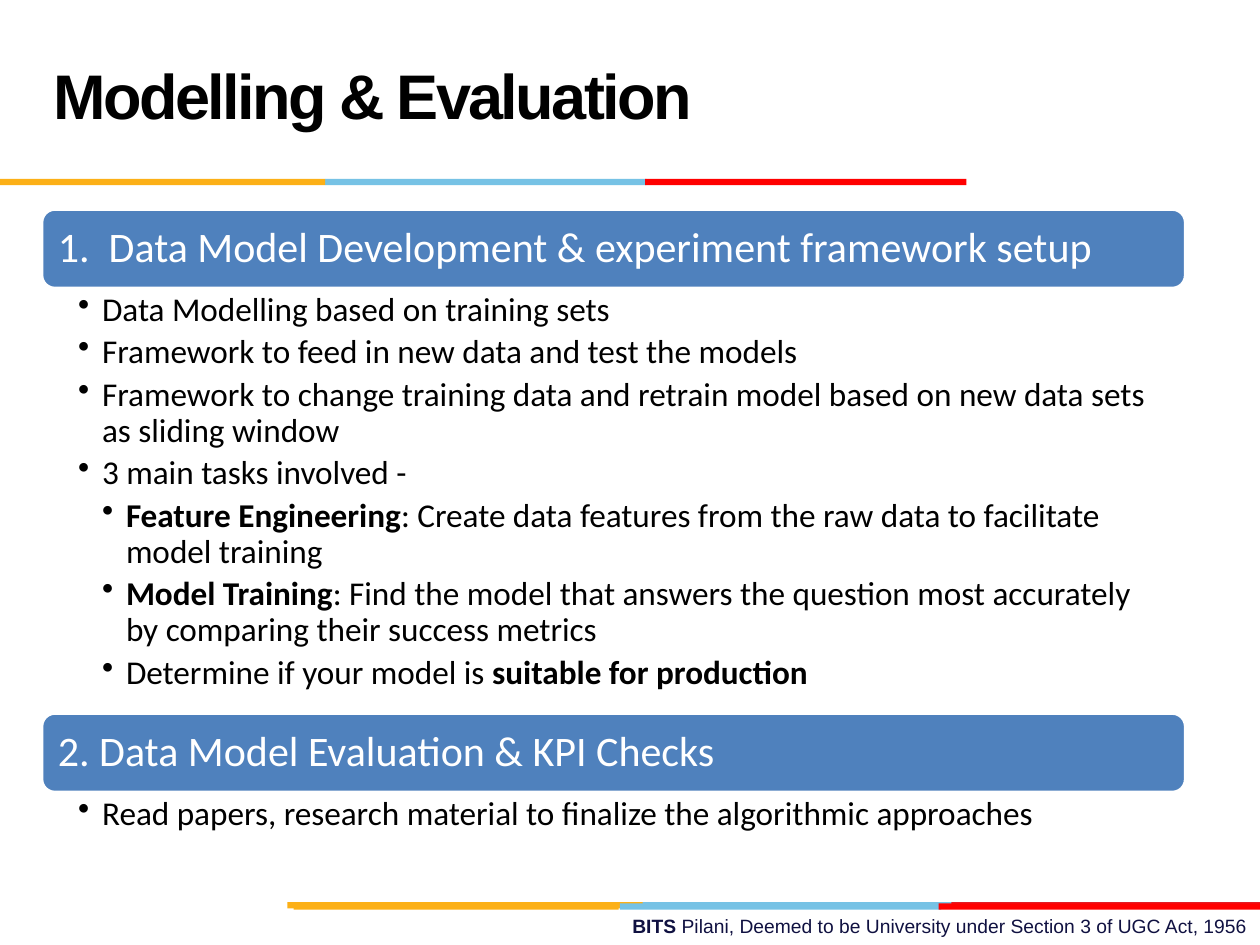
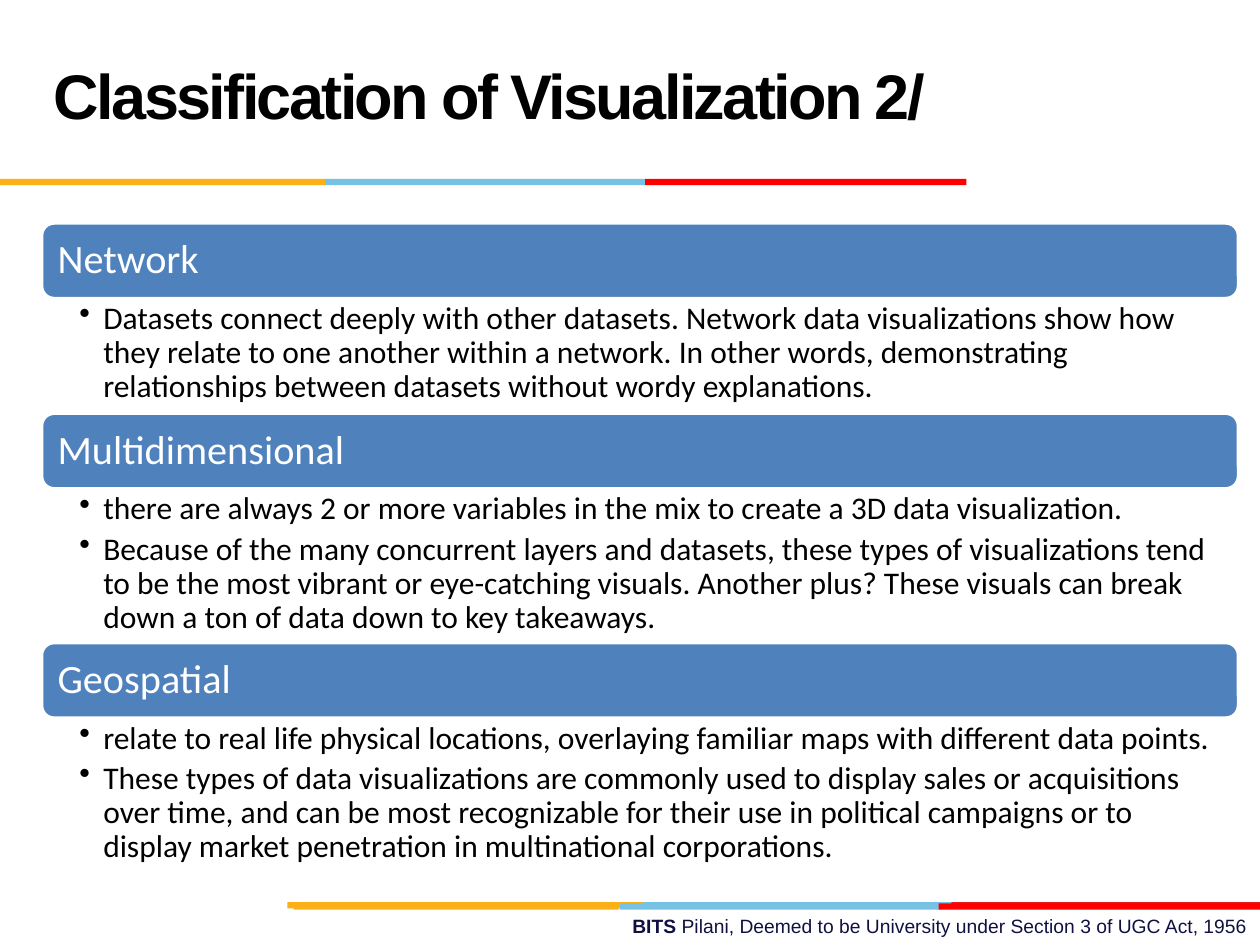
from lxml.etree import SubElement
from pptx import Presentation
from pptx.dml.color import RGBColor
from pptx.enum.shapes import MSO_SHAPE as Preset
from pptx.enum.text import MSO_ANCHOR as Anchor, PP_ALIGN as Align
from pptx.oxml.ns import qn
from pptx.util import Inches, Pt

# Content: **bold** marks bold words, bullets are (level, text)
FOOTER = "**BITS** Pilani, Deemed to be University under Section 3 of UGC Act, 1956"

SLIDES = [
    {
        "title": "Modelling & Evaluation",
        "top": 1.66, "width": 9.08, "banner_height": 0.63,
        "banner_size": 24, "bullet_size": 19, "insets": (0.29, 0.03, 0.19, 0.03),
        "sections": [
            ("1.  Data Model Development & experiment framework setup", 3.37, [
                (1, "Data Modelling based on training sets"),
                (1, "Framework to feed in new data and test the models"),
                (1, "Framework to change training data and retrain model based on "
                    "new data sets as sliding window"),
                (1, "3 main tasks involved -"),
                (2, "**Feature Engineering**: Create data features from the raw data "
                    "to facilitate model training"),
                (2, "**Model Training**: Find the model that answers the question most "
                    "accurately by comparing their success metrics"),
                (2, "Determine if your model is **suitable for production**"),
            ]),
            ("2. Data Model Evaluation & KPI Checks", 0.43, [
                (1, "Read papers, research material to finalize the algorithmic approaches"),
            ]),
        ],
    },
    {
        "title": "Classification of Visualization 2/",
        "top": 1.77, "width": 9.5, "banner_height": 0.6,
        "banner_size": 23, "bullet_size": 18, "insets": (0.3, 0.03, 0.18, 0.03),
        "sections": [
            ("Network", 0.91, [
                (1, "Datasets connect deeply with other datasets. Network data "
                    "visualizations show how they relate to one another within a network. "
                    "In other words, demonstrating relationships between datasets without "
                    "wordy explanations."),
            ]),
            ("Multidimensional", 1.22, [
                (1, "there are always 2 or more variables in the mix to create a 3D data "
                    "visualization."),
                (1, "Because of the many concurrent layers and datasets, these types of "
                    "visualizations tend to be the most vibrant or eye-catching visuals. "
                    "Another plus? These visuals can break down a ton of data down to key "
                    "takeaways."),
            ]),
            ("Geospatial", 1.22, [
                (1, "relate to real life physical locations, overlaying familiar maps with "
                    "different data points."),
                (1, "These types of data visualizations are commonly used to display sales "
                    "or acquisitions over time, and can be most recognizable for their use "
                    "in political campaigns or to display market penetration in "
                    "multinational corporations."),
            ]),
        ],
    },
]

# Shared look
YELLOW, SKY, RED, CRIMSON = "FCB017", "76C2E5", "FF0000", "E31C24"
BANNER, WHITE, BLACK, NAVY = "4F81BD", "FFFFFF", "000000", "101141"
LEFT = 0.33
INDENT = 0.19
STRIPE_HEIGHT = 0.05
# (top, [(left, width, colour)])
STRIPES = [
    (7.16, [(5.06, 2.55, SKY), (7.55, 2.45, CRIMSON), (2.28, 2.82, YELLOW)]),
    (7.17, [(4.92, 2.55, SKY), (2.33, 2.58, YELLOW), (7.45, 2.55, RED)]),
    (1.42, [(2.58, 2.55, SKY), (0, 2.58, YELLOW), (5.12, 2.55, RED)]),
]


def rgb(colour):
    return RGBColor.from_string(colour)


def add_block(slide, preset, box, fill, line=None):
    block = slide.shapes.add_shape(preset, *map(Inches, box))
    block.shadow.inherit = False
    block.fill.solid()
    block.fill.fore_color.rgb = rgb(fill)
    if line:
        block.line.color.rgb = rgb(line)
        block.line.width = Pt(2)
    else:
        block.line.fill.background()
    return block


def add_box(slide, box):
    return slide.shapes.add_textbox(*map(Inches, box))


def write(holder, items, size, colour, font="Calibri", bold=False, align=Align.LEFT,
          anchor=Anchor.TOP, insets=(0.1, 0.05, 0.1, 0.05), line_spacing=None,
          space_after=0, tracking=None):
    """Fill a shape with (level, text) items; level 0 has no bullet."""
    frame = holder.text_frame
    frame.word_wrap = True
    frame.vertical_anchor = anchor
    (frame.margin_left, frame.margin_top,
     frame.margin_right, frame.margin_bottom) = map(Inches, insets)
    for index, (level, text) in enumerate(items):
        paragraph = frame.add_paragraph() if index else frame.paragraphs[0]
        paragraph.alignment = align
        if level:
            paragraph.level = level
            properties = paragraph._p.get_or_add_pPr()
            properties.set("marL", str(Inches(INDENT * level)))
            properties.set("indent", str(Inches(-INDENT)))
            SubElement(properties, qn("a:buChar")).set("char", "•")
        paragraph.line_spacing = line_spacing
        paragraph.space_after = Pt(space_after)
        for part, words in enumerate(text.split("**")):
            if not words:
                continue
            run = paragraph.add_run()
            run.text = words
            run.font.name = font
            run.font.size = Pt(size)
            run.font.bold = bold or part % 2 == 1
            run.font.color.rgb = rgb(colour)
            if tracking:
                run._r.get_or_add_rPr().set("spc", str(int(tracking * 100)))


def add_frame(slide, title):
    # Footer, colour stripes and title
    write(add_box(slide, (3.58, 7.21, 6.42, 0.29)), [(0, FOOTER)], 11, NAVY,
          font="Arial", align=Align.RIGHT)
    for top, stripes in STRIPES:
        for left, width, colour in stripes:
            add_block(slide, Preset.RECTANGLE, (left, top, width, STRIPE_HEIGHT), colour)
    write(add_box(slide, (LEFT, 0.17, 7.25, 1.25)), [(0, title)], 36, BLACK,
          font="Arial", bold=True, anchor=Anchor.MIDDLE, line_spacing=Pt(36), tracking=-1.5)


def add_sections(slide, content):
    # Banners and their bullets, stacked without gaps
    top, width = content["top"], content["width"]
    banner_height, bullet_size = content["banner_height"], content["bullet_size"]
    for heading, height, bullets in content["sections"]:
        banner = add_block(slide, Preset.ROUNDED_RECTANGLE,
                           (LEFT, top, width, banner_height), BANNER, WHITE)
        write(banner, [(0, heading)], content["banner_size"], WHITE,
              anchor=Anchor.MIDDLE, insets=(0.1,) * 4, line_spacing=0.9)
        top += banner_height
        write(add_box(slide, (LEFT, top, width, height)), bullets, bullet_size, BLACK,
              insets=content["insets"], line_spacing=0.9, space_after=bullet_size * 0.2)
        top += height


def main():
    deck = Presentation()
    deck.slide_width, deck.slide_height = Inches(10), Inches(7.5)
    for content in SLIDES:
        slide = deck.slides.add_slide(deck.slide_layouts[6])
        add_frame(slide, content["title"])
        add_sections(slide, content)
    deck.save("out.pptx")


if __name__ == "__main__":
    main()
